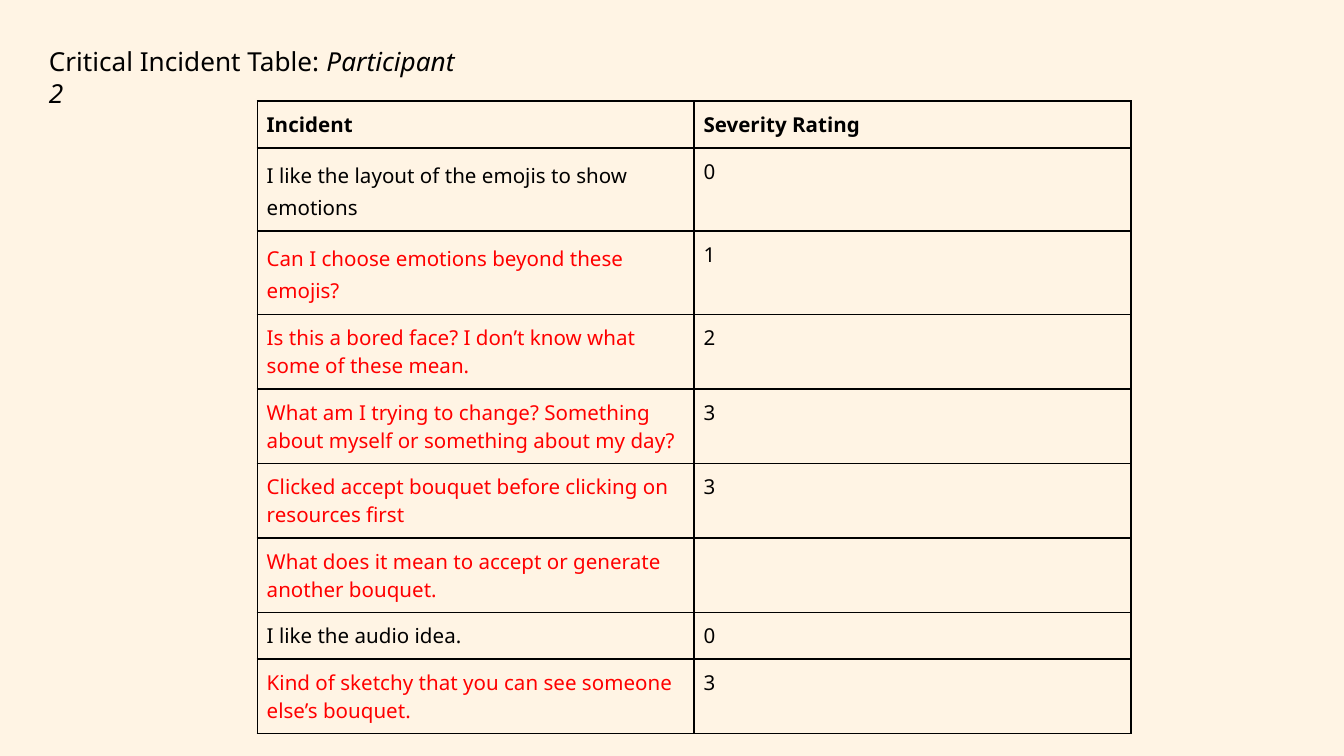
from lxml.etree import SubElement
from pptx import Presentation
from pptx.dml.color import RGBColor
from pptx.oxml.ns import qn
from pptx.util import Pt

PX = 4572  # 200 px to the inch
COLORS = {"page": "FFF4E4", "ink": "000000", "problem": "FF0000"}
FONT = "Noto Sans"


def add_run(para, text, size, color="ink", bold=False, italic=False):
    span = para.add_run()
    span.text = text
    span.font.name = FONT
    span.font.size = Pt(size)
    span.font.bold = bold
    span.font.italic = italic
    span.font.color.rgb = RGBColor.from_string(COLORS[color])


def add_borders(cell):
    properties = cell._tc.get_or_add_tcPr()
    for side in ("lnL", "lnR", "lnT", "lnB"):
        line = SubElement(properties, qn(f"a:{side}"), w=str(Pt(1)))
        fill = SubElement(line, qn("a:solidFill"))
        SubElement(fill, qn("a:srgbClr"), val=COLORS["ink"])


deck = Presentation()
deck.slide_width = 2000 * PX
deck.slide_height = 1125 * PX
page = deck.slides.add_slide(deck.slide_layouts[6])
page.background.fill.solid()
page.background.fill.fore_color.rgb = RGBColor.from_string(COLORS["page"])

# Title
box = page.shapes.add_textbox(53 * PX, 48 * PX, 666 * PX, 136 * PX)
frame = box.text_frame
frame.word_wrap = True
frame.margin_left = frame.margin_right = 20 * PX
frame.margin_top = frame.margin_bottom = 20 * PX
title = frame.paragraphs[0]
add_run(title, "Critical Incident Table: ", 14)
add_run(title, "Participant 2", 14, italic=True)

# Incidents: text, rating, text colour, line spacing, row height
rows = [
    ("Incident", "Severity Rating", "ink", None, 70),
    ("I like the layout of the emojis to show emotions", "0", "ink", 1.15, 124),
    ("Can I choose emotions beyond these emojis?", "1", "problem", 1.15, 124),
    ("Is this a bored face? I don’t know what some of these mean.", "2", "problem", None, 111),
    ("What am I trying to change? Something about myself or something about my day?",
     "3", "problem", None, 111),
    ("Clicked accept bouquet before clicking on resources first", "3", "problem", None, 111),
    ("What does it mean to accept or generate another bouquet.", "", "problem", None, 111),
    ("I like the audio idea.", "0", "ink", None, 69),
    ("Kind of sketchy that you can see someone else’s bouquet.", "3", "problem", None, 111),
]

# Table
height = sum(row[-1] for row in rows)
table = page.shapes.add_table(len(rows), 2, 383 * PX, 150 * PX, 1300 * PX, height * PX).table
table.first_row = False
table.horz_banding = False
for column in table.columns:
    column.width = 650 * PX

for index, (incident, rating, color, spacing, row_height) in enumerate(rows):
    table.rows[index].height = row_height * PX
    incident_cell, rating_cell = table.rows[index].cells
    for cell, text, text_color in ((incident_cell, incident, color), (rating_cell, rating, "ink")):
        cell.margin_left = cell.margin_right = 14 * PX
        cell.margin_top = cell.margin_bottom = 14 * PX
        add_borders(cell)
        cell.fill.background()
        if text:
            add_run(cell.text_frame.paragraphs[0], text, 11, text_color, bold=index == 0)
    if spacing:
        incident_cell.text_frame.paragraphs[0].line_spacing = spacing

deck.save("out.pptx")
